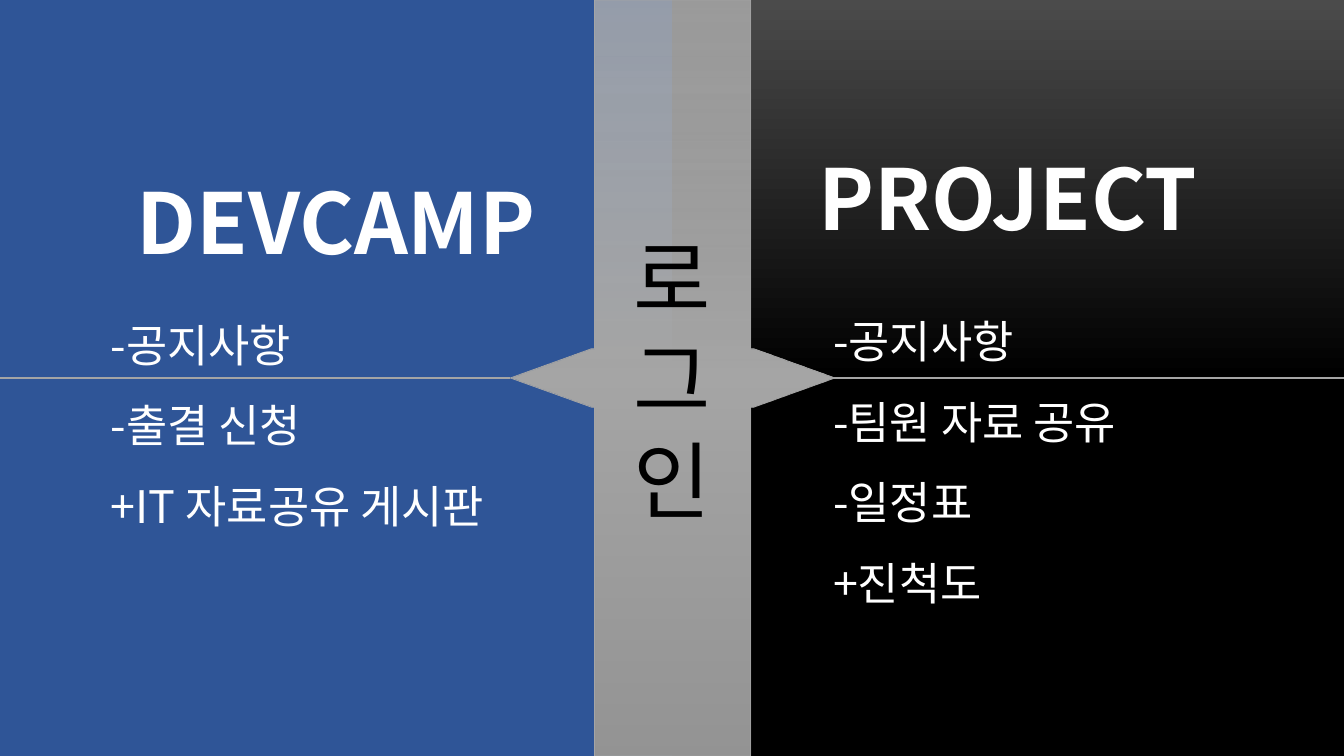
"""Build a slide of two service panels joined by a login arrow callout."""
from dataclasses import dataclass

from lxml.etree import SubElement
from pptx import Presentation
from pptx.dml.color import RGBColor
from pptx.enum.shapes import MSO_CONNECTOR, MSO_SHAPE
from pptx.enum.text import MSO_ANCHOR, PP_ALIGN
from pptx.oxml.ns import qn
from pptx.util import Cm, Pt

FONT = "Noto Sans CJK KR"
WHITE, BLACK, GREY, BLUE = "FFFFFF", "000000", "A5A5A5", "2F5597"
WIDTH, HEIGHT = 33.87, 19.05
MIDDLE = HEIGHT / 2


@dataclass(frozen=True)
class Stop:
    position: int
    color: str
    opacity: int = 100


@dataclass(frozen=True)
class Panel:
    left: float
    fill: str | list[Stop]
    title: str
    title_gap: float
    items: list[str]
    level: int
    indent: float
    first_spacing: float
    bottom_inset: float


PANELS = [
    Panel(0, BLUE, "DEVCAMP", 33.3, ["-공지사항", "-출결 신청", "+IT 자료공유 게시판"],
          1, 2.54, 1.0, 1.47),
    Panel(WIDTH / 2, [Stop(0, "4B4B4B"), Stop(50, BLACK), Stop(100, BLACK)],
          "PROJECT", 28.6, ["-공지사항", "-팀원 자료 공유", "-일정표", "+진척도"],
          2, 3.81, 1.5, 0.13),
]
LOGIN_STOPS = [Stop(0, "AFAFAF", 79), Stop(50, GREY), Stop(100, "939393")]


def rgb(color: str) -> RGBColor:
    """Turn a hex string into a colour."""
    return RGBColor.from_string(color)


def paint(shape, fill: str | list[Stop]) -> None:
    """Fill a shape with one colour or with a gradient from top to bottom."""
    if isinstance(fill, str):
        shape.fill.solid()
        shape.fill.fore_color.rgb = rgb(fill)
        return
    shape.fill.background()
    properties = shape.element.spPr
    empty = properties.find(qn("a:noFill"))
    gradient = SubElement(properties, qn("a:gradFill"), rotWithShape="1")
    properties.replace(empty, gradient)
    stops = SubElement(gradient, qn("a:gsLst"))
    for stop in fill:
        place = SubElement(stops, qn("a:gs"), pos=str(stop.position * 1000))
        color = SubElement(place, qn("a:srgbClr"), val=stop.color)
        if stop.opacity < 100:
            SubElement(color, qn("a:alpha"), val=str(stop.opacity * 1000))
    SubElement(gradient, qn("a:lin"), ang="5400000", scaled="0")


def add_block(slide, kind: MSO_SHAPE, left: float, width: float, fill: str | list[Stop]):
    """Add a shape of full slide height with vertically centred text."""
    block = slide.shapes.add_shape(kind, Cm(left), 0, Cm(width), Cm(HEIGHT))
    block.shadow.inherit = False
    paint(block, fill)
    block.line.fill.background()
    block.text_frame.word_wrap = True
    block.text_frame.vertical_anchor = MSO_ANCHOR.MIDDLE
    return block


def write(frame, text: str, *, size: float, color: str = WHITE, bold: bool = False,
          align: PP_ALIGN = PP_ALIGN.LEFT, level: int = 0, indent: float = 0,
          spacing: float = 1.0, after: float = 0) -> None:
    """Write one formatted paragraph at the end of a text frame."""
    paragraph = frame.paragraphs[0] if not frame.text else frame.add_paragraph()
    paragraph.alignment = align
    paragraph.level = level
    paragraph.line_spacing = spacing
    paragraph.space_after = Pt(after)
    margins = paragraph._p.get_or_add_pPr()
    margins.set("marL", str(Cm(indent)))
    margins.set("indent", "0")
    run = paragraph.add_run()
    run.text = text
    run.font.name = FONT
    run.font.size = Pt(size)
    run.font.bold = bold
    run.font.color.rgb = rgb(color)
    SubElement(run.font._element, qn("a:ea"), typeface=FONT)


def add_panel(slide, panel: Panel) -> None:
    """Add one half of the slide with its title and list."""
    half = add_block(slide, MSO_SHAPE.RECTANGLE, panel.left, WIDTH / 2, panel.fill)
    frame = half.text_frame
    frame.margin_bottom = Cm(panel.bottom_inset)
    write(frame, panel.title, size=60, bold=True, align=PP_ALIGN.CENTER,
          after=panel.title_gap)
    for index, item in enumerate(panel.items):
        write(frame, item, size=32, level=panel.level, indent=panel.indent,
              spacing=1.5 if index else panel.first_spacing)


def add_login(slide):
    """Add the double arrow callout between the panels."""
    login = add_block(slide, MSO_SHAPE.LEFT_RIGHT_ARROW_CALLOUT, 12.86, 8.18, LOGIN_STOPS)
    for index, value in enumerate((0.5, 0.09, 0.25, 0.481)):
        login.adjustments[index] = value
    login.line.color.rgb = rgb(GREY)
    login.line.width = Pt(0.5)
    for syllable in "로그인":
        write(login.text_frame, syllable, size=60, color=BLACK, align=PP_ALIGN.CENTER)
    return login


def add_rule(slide, start: float, end: float):
    """Add a horizontal line across the middle of the slide."""
    rule = slide.shapes.add_connector(
        MSO_CONNECTOR.STRAIGHT, Cm(start), Cm(MIDDLE), Cm(end), Cm(MIDDLE))
    rule.line.color.rgb = rgb(GREY)
    rule.line.width = Pt(1.5)
    SubElement(rule._element.spPr, qn("a:effectLst"))
    return rule


def main() -> None:
    """Build and save the presentation."""
    presentation = Presentation()
    presentation.slide_width, presentation.slide_height = Cm(WIDTH), Cm(HEIGHT)
    slide = presentation.slides.add_slide(presentation.slide_layouts[6])
    for panel in PANELS:
        add_panel(slide, panel)
    login = add_login(slide)
    add_rule(slide, 12.86, 0).begin_connect(login, 1)
    add_rule(slide, WIDTH, 19.53)
    presentation.save("out.pptx")


if __name__ == "__main__":
    main()
